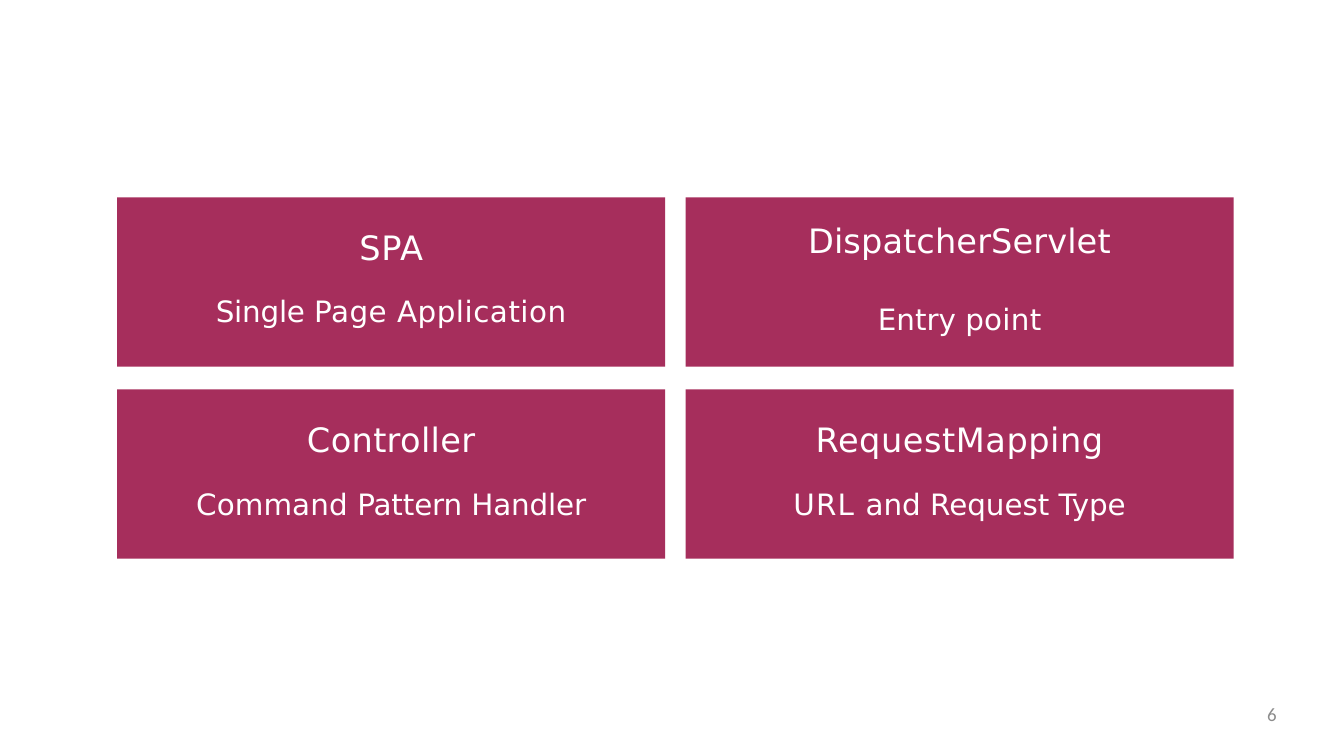
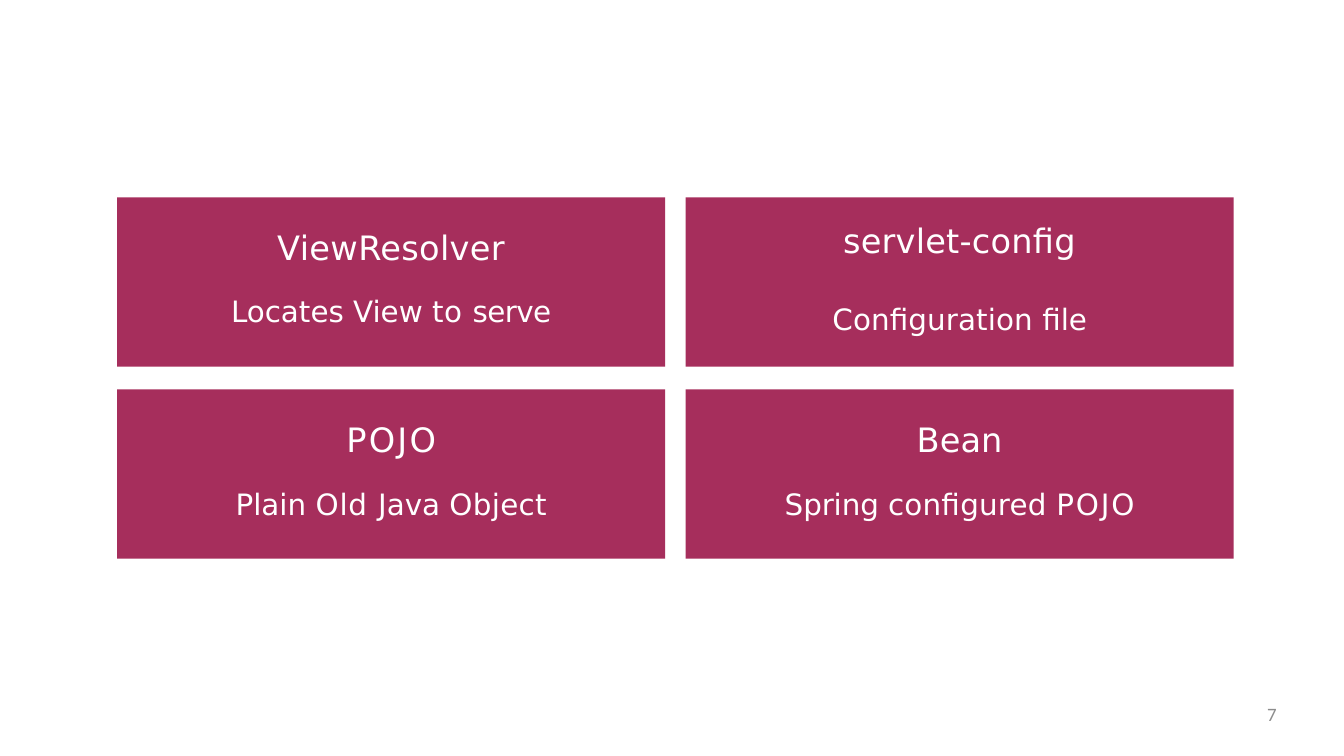
from dataclasses import dataclass

from pptx import Presentation
from pptx import util as u
from pptx.dml import color
from pptx.enum import shapes, text


@dataclass(frozen=True)
class Theme:
    card: str = "A62E5C"
    light: str = "FFFFFF"
    grey: str = "8C8C8C"
    face: str = "DejaVu Sans"
    foot: str = "Calibri"
    head: float = 32
    body: float = 28
    page: float = 18


@dataclass(frozen=True)
class Run:
    words: str
    track: float = 0


@dataclass(frozen=True)
class Card:
    head: Run
    body: tuple[Run, ...]


@dataclass(frozen=True)
class Slot:
    col: int
    row: int
    inset: float
    gap: float


THEME = Theme()
LEFT, TOP, WIDTH, HEIGHT = 1.55, 2.61, 7.25, 2.24
STEP_X, STEP_Y = 7.52, 2.54
SLOTS = (
    Slot(0, 0, 0.39, 24.6),
    Slot(1, 0, 0.3, 38.5),
    Slot(0, 1, 0.39, 25.6),
    Slot(1, 1, 0.39, 25.6),
)
FIRST = 6
DECK = (
    (
        Card(Run("SPA", 0.6), (Run("Single ", -0.2), Run("Page Application", 0.5))),
        Card(Run("DispatcherServlet", 0.1), (Run("Entry "), Run("point", 0.3))),
        Card(Run("Controller", 0.3), (Run("Command ", 0.1), Run("Pattern Handler", -0.1))),
        Card(Run("RequestMapping", 0.5),
             (Run("URL ", 1.1), Run("and Request "), Run("Type", -0.1))),
    ),
    (
        Card(Run("ViewResolver", 0.3),
             (Run("Locates View "), Run("to ", 0.5), Run("serve", -0.5))),
        Card(Run("servlet-config", 0.2), (Run("Configuration ", 0.1), Run("file", -0.1))),
        Card(Run("POJO", 2.1),
             (Run("Plain "), Run("Old ", 0.8), Run("Java "), Run("Object", 0.3))),
        Card(Run("Bean", 0.1),
             (Run("Spring ", -0.1), Run("configured ", 0.2), Run("POJO", 1.8))),
    ),
)


def style(item, **attrs) -> None:
    for name, value in attrs.items():
        setattr(item, name, value)


def frame(shape, top: float = 0):
    box = shape.text_frame
    style(box, margin_left=0, margin_right=0, margin_bottom=0,
          margin_top=u.Inches(top), word_wrap=True,
          vertical_anchor=text.MSO_ANCHOR.TOP)
    return box


def write(para, runs: tuple[Run, ...], size: float, face: str, tint: str) -> None:
    for part in runs:
        run = para.add_run()
        run.text = part.words
        style(run.font, size=u.Pt(size), name=face)
        run.font.color.rgb = color.RGBColor.from_string(tint)
        if part.track:
            run.font._element.set("spc", str(round(part.track * 100)))


def draw_card(slide, card: Card, slot: Slot) -> None:
    shape = slide.shapes.add_shape(
        shapes.MSO_SHAPE.RECTANGLE,
        u.Inches(LEFT + slot.col * STEP_X), u.Inches(TOP + slot.row * STEP_Y),
        u.Inches(WIDTH), u.Inches(HEIGHT))
    shape.shadow.inherit = False
    shape.fill.solid()
    shape.fill.fore_color.rgb = color.RGBColor.from_string(THEME.card)
    shape.line.fill.background()
    box = frame(shape, slot.inset)
    head, body = box.paragraphs[0], box.add_paragraph()
    style(head, alignment=text.PP_ALIGN.CENTER)
    style(body, alignment=text.PP_ALIGN.CENTER, space_before=u.Pt(slot.gap))
    write(head, (card.head,), THEME.head, THEME.face, THEME.light)
    write(body, card.body, THEME.body, THEME.face, THEME.light)


def draw_page(slide, page: int) -> None:
    shape = slide.shapes.add_textbox(
        u.Inches(12.8), u.Inches(9.3), u.Inches(4.09), u.Inches(0.5))
    para = frame(shape).paragraphs[0]
    style(para, alignment=text.PP_ALIGN.RIGHT)
    write(para, (Run(str(page)),), THEME.page, THEME.foot, THEME.grey)


def main() -> None:
    deck = Presentation()
    style(deck, slide_width=u.Inches(17.78), slide_height=u.Inches(10))
    for page, cards in enumerate(DECK, FIRST):
        slide = deck.slides.add_slide(deck.slide_layouts[6])
        for card, slot in zip(cards, SLOTS):
            draw_card(slide, card, slot)
        draw_page(slide, page)
    deck.save("out.pptx")


main()
